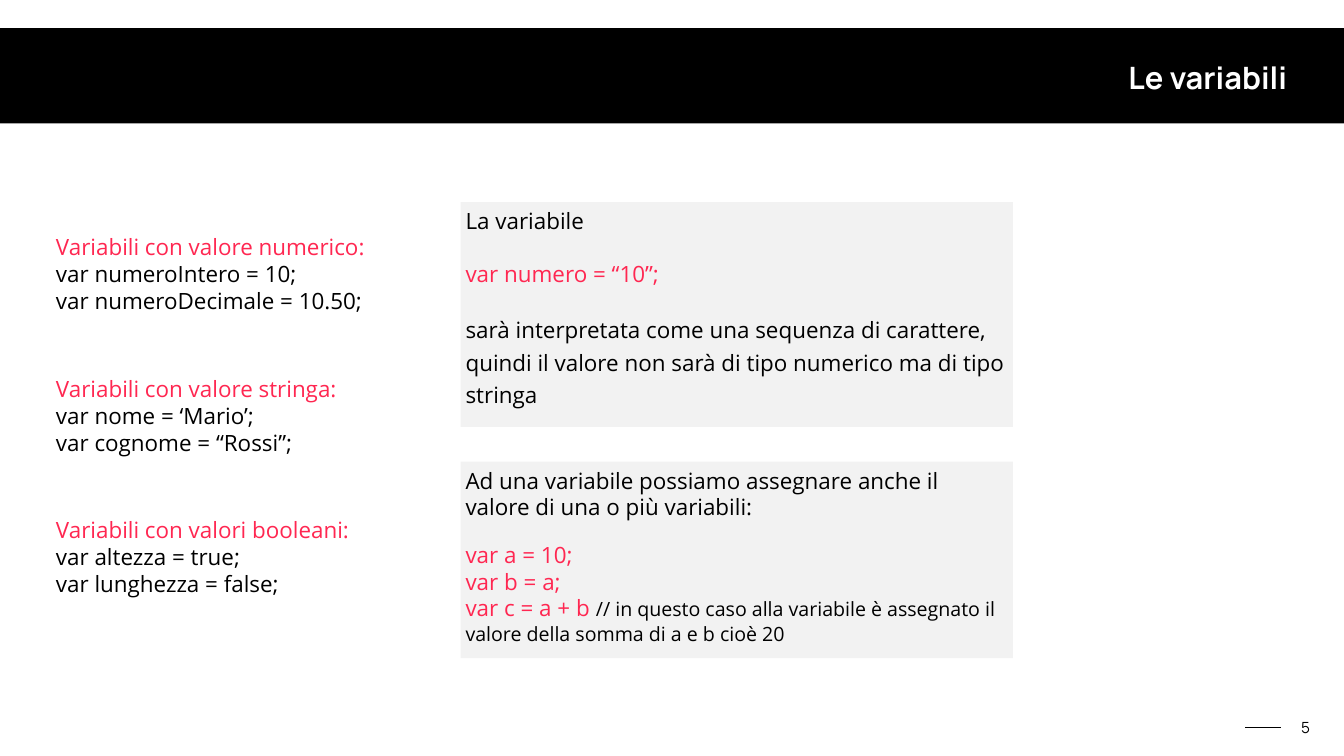
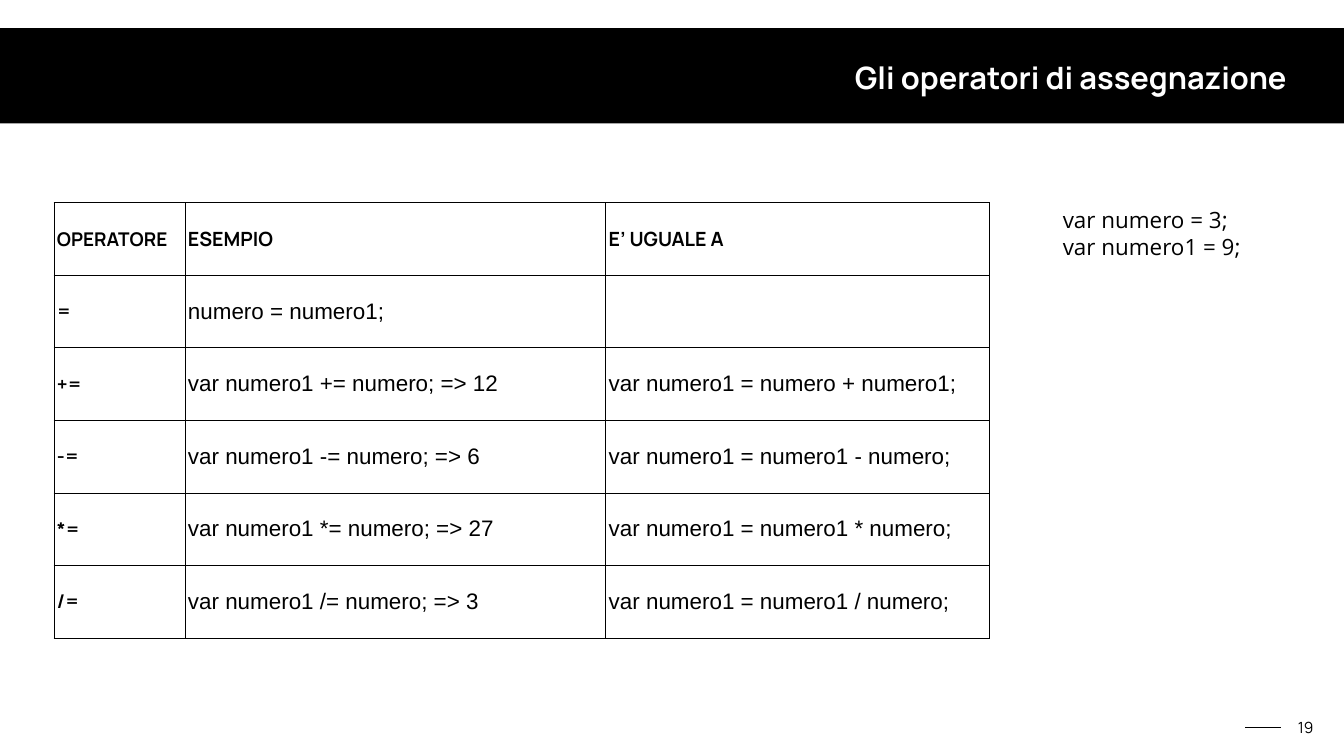
import pptx
import pptx.dml.color
import pptx.enum.shapes
import pptx.enum.text
import pptx.oxml
import pptx.oxml.ns
import pptx.util
from pptx.util import Inches

BLACK = pptx.dml.color.RGBColor(0x00, 0x00, 0x00)
WHITE = pptx.dml.color.RGBColor(0xFF, 0xFF, 0xFF)
PINK = pptx.dml.color.RGBColor(0xFF, 0x27, 0x51)
PANEL_GRAY = pptx.dml.color.RGBColor(0xF2, 0xF2, 0xF2)

TITLE_FONT = "Manrope"
BODY_FONT = "Open Sans"
TABLE_FONT = "Arial"
BODY_SIZE = 32
MARGIN = 0.06

ALIGN = pptx.enum.text.PP_ALIGN
ANCHOR = pptx.enum.text.MSO_ANCHOR
RECTANGLE = pptx.enum.shapes.MSO_SHAPE.RECTANGLE

VARIABLE_GROUPS = [
    ("Variabili con valore numerico:", "var numeroIntero = 10;", "var numeroDecimale = 10.50;"),
    ("Variabili con valore stringa:", "var nome = ‘Mario’;", "var cognome = “Rossi”;"),
    ("Variabili con valori booleani:", "var altezza = true;", "var lunghezza = false;"),
]

OPERATORS = [
    ("OPERATORE", "ESEMPIO", "E’ UGUALE A"),
    ("=", "numero = numero1;", ""),
    ("+=", "var numero1 += numero; => 12", "var numero1 = numero + numero1;"),
    ("-=", "var numero1 -= numero; => 6", "var numero1 = numero1 - numero;"),
    ("*=", "var numero1 *= numero; => 27", "var numero1 = numero1 * numero;"),
    ("/=", "var numero1 /= numero; => 3", "var numero1 = numero1 / numero;"),
]


def add_span(para, text, color=BLACK, size=BODY_SIZE, font=BODY_FONT, bold=False):
    """Append one formatted run to a paragraph."""
    span = para.add_run()
    span.text = text
    span.font.name = font
    span.font.size = pptx.util.Pt(size)
    span.font.bold = bold
    span.font.color.rgb = color


def add_para(frame, first=False, align=ALIGN.LEFT, before=0, spacing=None):
    """Return the first or a new paragraph with its layout set."""
    para = frame.paragraphs[0] if first else frame.add_paragraph()
    para.alignment = align
    if before:
        para.space_before = pptx.util.Pt(before)
    if spacing:
        para.line_spacing = spacing
    return para


def set_frame(frame, margin, anchor, wrap=True):
    """Set equal insets, the anchor and the wrapping of a text frame."""
    frame.margin_left = frame.margin_right = Inches(margin)
    frame.margin_top = frame.margin_bottom = Inches(margin)
    frame.vertical_anchor = anchor
    frame.word_wrap = wrap


def add_text_frame(page, left, top, width, height, anchor=ANCHOR.MIDDLE, wrap=True):
    """Add a text box and return its text frame."""
    box = page.shapes.add_textbox(Inches(left), Inches(top), Inches(width), Inches(height))
    set_frame(box.text_frame, MARGIN, anchor, wrap)
    return box.text_frame


def add_rectangle(page, left, top, width, height, color):
    """Add a plain filled rectangle."""
    box = page.shapes.add_shape(
        RECTANGLE, Inches(left), Inches(top), Inches(width), Inches(height))
    box.shadow.inherit = False
    box.fill.solid()
    box.fill.fore_color.rgb = color
    box.line.fill.background()
    return box


def add_panel(page, top, height):
    """Add a gray panel and return its text frame."""
    frame = add_rectangle(page, 9.14, top, 10.96, height, PANEL_GRAY).text_frame
    set_frame(frame, 0.1, ANCHOR.TOP)
    return frame


def add_lines(page, left, top, width, height, lines):
    """Add a text box with one paragraph for each text and colour."""
    frame = add_text_frame(page, left, top, width, height)
    for index, (text, color) in enumerate(lines):
        add_span(add_para(frame, first=index == 0), text, color)


def add_page(deck, title, number):
    """Add a page with the title band and the page number."""
    page = deck.slides.add_slide(deck.slide_layouts[6])
    add_rectangle(page, -0.21, 0.56, 27.08, 1.89, BLACK)

    dash = page.shapes.add_connector(
        pptx.enum.shapes.MSO_CONNECTOR.STRAIGHT,
        Inches(25.42), Inches(14.44), Inches(24.71), Inches(14.44))
    dash.line.color.rgb = BLACK
    dash.line.width = pptx.util.Pt(2)
    pptx.oxml.ns.qn("a:effectLst")
    effects = pptx.oxml.parse_xml(
        f"<a:effectLst {pptx.oxml.ns.nsdecls('a')}/>")
    dash.line._get_or_add_ln().addnext(effects)

    frame = add_text_frame(page, 25.66, 14.2, 0.5, 0.48, ANCHOR.BOTTOM, wrap=False)
    add_span(add_para(frame, True, ALIGN.CENTER), str(number), size=22, font=TITLE_FONT)
    frame = add_text_frame(page, 5.89, 1.1, 19.71, 0.85)
    add_span(add_para(frame, True, ALIGN.RIGHT), title, WHITE, 44, TITLE_FONT, True)
    return page


def set_borders(cell):
    """Give a cell thin black borders on all four sides."""
    properties = cell._tc.get_or_add_tcPr()
    for index, side in enumerate("LRTB"):
        properties.insert(index, pptx.oxml.parse_xml(
            f'<a:ln{side} {pptx.oxml.ns.nsdecls("a")} w="12700">'
            f'<a:solidFill><a:srgbClr val="{BLACK}"/></a:solidFill></a:ln{side}>'))


def add_operator_table(page):
    """Add the table of assignment operators."""
    widths = (2.6, 8.35, 7.61)
    row_height = 1.44
    table = page.shapes.add_table(
        len(OPERATORS), len(widths), Inches(1.07), Inches(4.02),
        Inches(sum(widths)), Inches(row_height * len(OPERATORS))).table
    table.first_row = table.horz_banding = False
    for column, width in zip(table.columns, widths):
        column.width = Inches(width)
    for row_index, texts in enumerate(OPERATORS):
        table.rows[row_index].height = Inches(row_height)
        for column_index, text in enumerate(texts):
            cell = table.cell(row_index, column_index)
            cell.fill.background()
            set_borders(cell)
            cell.vertical_anchor = ANCHOR.MIDDLE
            cell.margin_left = cell.margin_right = Inches(MARGIN)
            cell.margin_top = cell.margin_bottom = Inches(MARGIN)
            if not text:
                continue
            para = add_para(cell.text_frame, first=True)
            if column_index == 0:
                add_span(para, text, size=27, font=TITLE_FONT, bold=True)
            elif row_index == 0:
                add_span(para, text, size=28, font=TITLE_FONT, bold=True)
            else:
                add_span(para, text, font=TABLE_FONT)


def build_variables(deck):
    """Build the page about variables."""
    page = add_page(deck, "Le variabili", 5)
    for index, texts in enumerate(VARIABLE_GROUPS):
        lines = list(zip(texts, (PINK, BLACK, BLACK)))
        add_lines(page, 1.05, 4.57 + 2.805 * index, 6.32, 1.73, lines)

    frame = add_panel(page, 4.01, 4.46)
    add_span(add_para(frame, first=True), "La variabile")
    add_span(add_para(frame, before=29, spacing=1.2), "var numero = “10”;", PINK)
    add_span(add_para(frame, before=35, spacing=1.2),
             "sarà interpretata come una sequenza di carattere, quindi il valore "
             "non sarà di tipo numerico ma di tipo stringa")

    frame = add_panel(page, 9.16, 3.9)
    add_span(add_para(frame, first=True),
             "Ad una variabile possiamo assegnare anche il valore di una o più variabili:")
    add_span(add_para(frame, before=29), "var a = 10;", PINK)
    add_span(add_para(frame), "var b = a;", PINK)
    para = add_para(frame)
    add_span(para, "var c = a + b ", PINK)
    add_span(para, "// in questo caso alla variabile è assegnato il valore "
                   "della somma di a e b cioè 20", size=28)


def build_operators(deck):
    """Build the page about assignment operators."""
    page = add_page(deck, "Gli operatori di assegnazione", 19)
    add_operator_table(page)
    add_lines(page, 21.03, 4.03, 3.68, 1.19,
              [("var numero = 3;", BLACK), ("var numero1 = 9;", BLACK)])


def main():
    """Build and save the deck."""
    deck = pptx.Presentation()
    deck.slide_width = Inches(26.67)
    deck.slide_height = Inches(15)
    build_variables(deck)
    build_operators(deck)
    deck.save("out.pptx")


if __name__ == "__main__":
    main()
